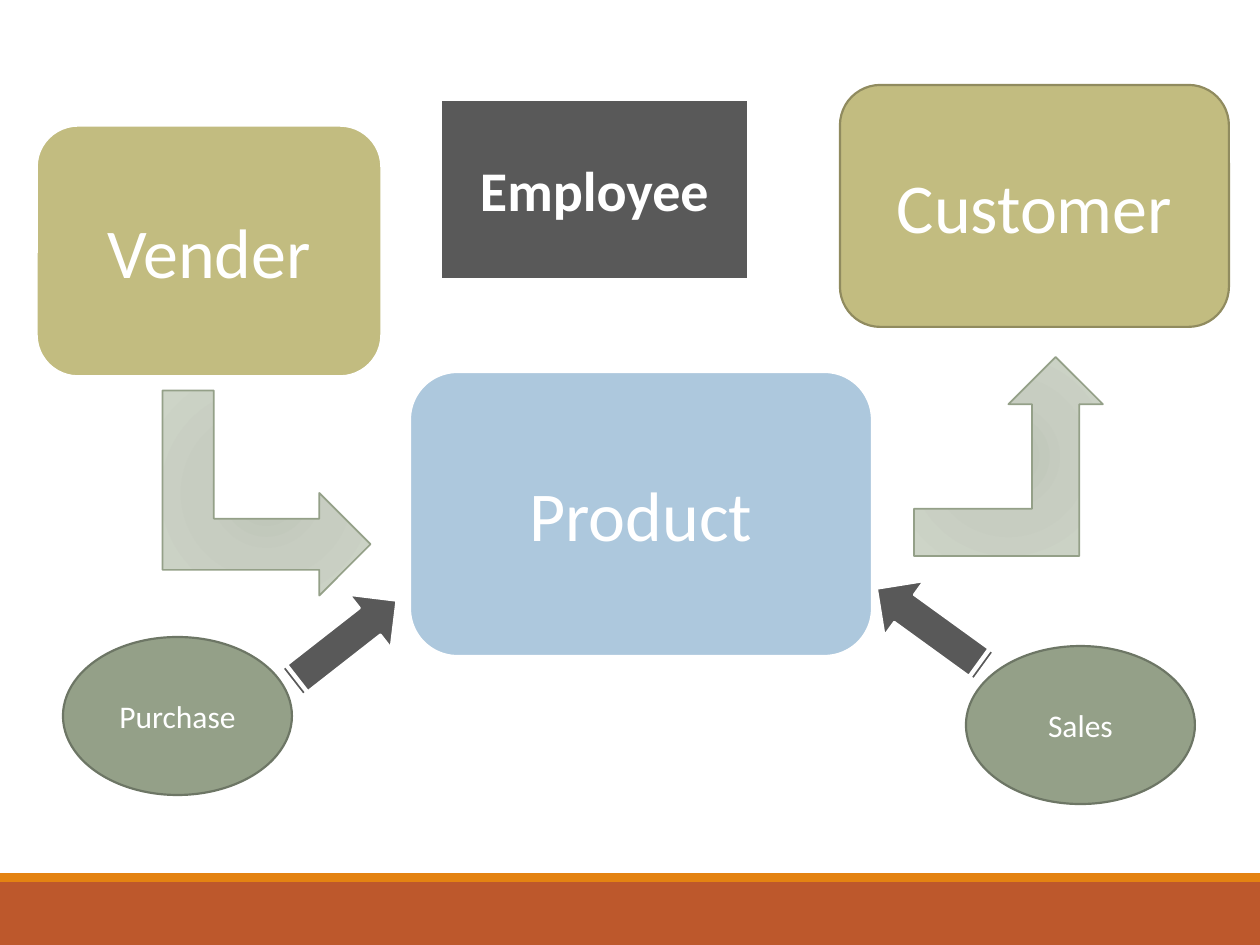
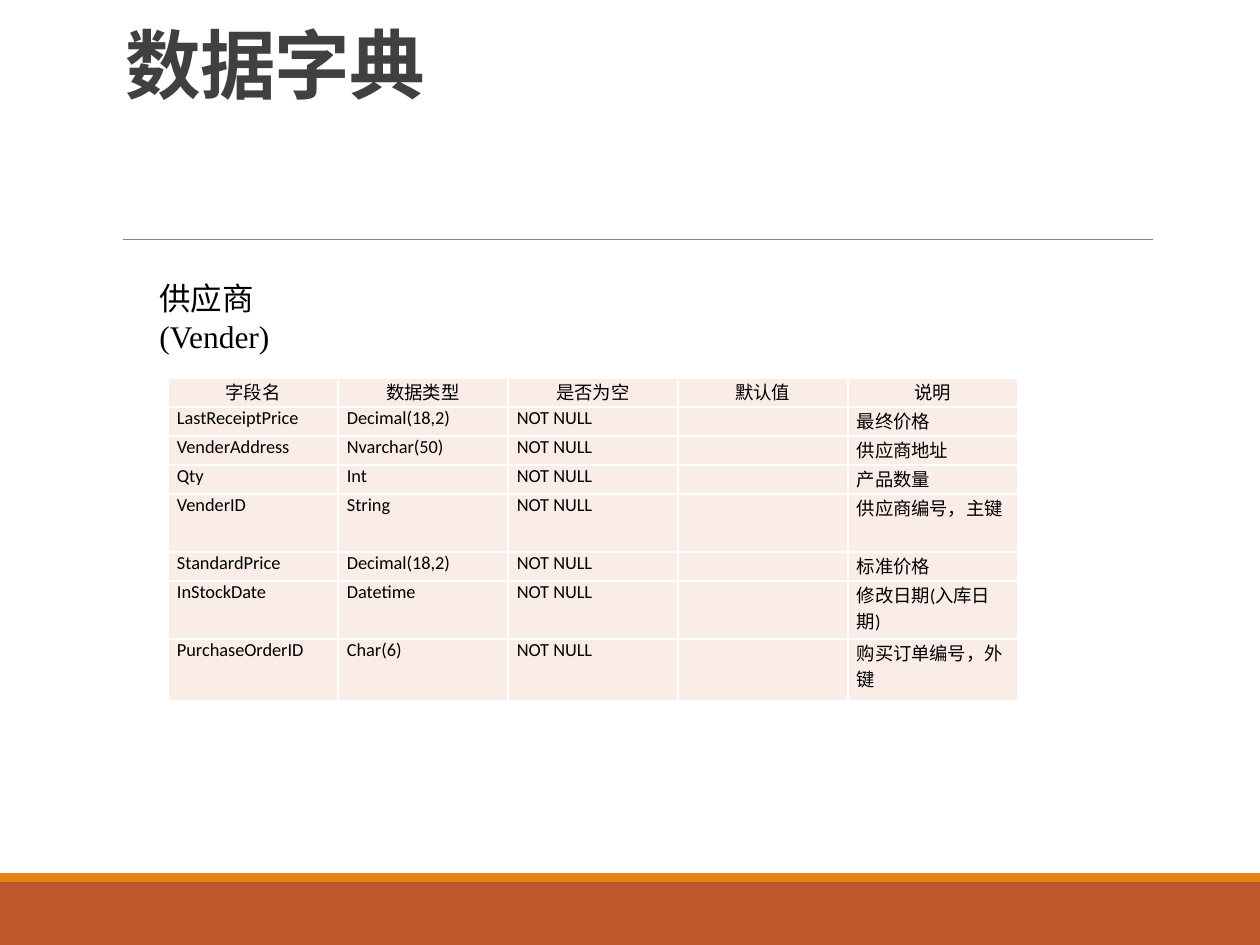
from dataclasses import dataclass

from lxml import etree
from pptx import Presentation
from pptx import util as u
from pptx.dml.color import RGBColor
from pptx.enum import shapes, text
from pptx.oxml.ns import qn

EMU_PER_PX = 914400 / 126
SLIDE_W, SLIDE_H = 1260, 945

WHITE, BLACK = "FFFFFF", "000000"
RUST, ORANGE = "BD582C", "E48312"
KHAKI, KHAKI_EDGE = "C2BC80", "908B5F"
SAGE, SAGE_EDGE = "94A088", "6D7665"
BLUE, CHARCOAL = "ADC8DD", "595959"
TITLE_GREY, RULE_GREY = "404040", "808080"
CELL_PINK = "FAEDE7"
SAGE_GLOW = ((0, "BBC3B5"), (45, "C7CDC1"), (100, "CDD4C7"))

LATIN, CJK, SERIF = "Calibri", "Noto Sans CJK SC", "Times New Roman"
GEO = shapes.MSO_SHAPE


@dataclass(frozen=True)
class Box:
    left: int
    top: int
    width: int
    height: int

    def emu(self) -> tuple:
        return px(self.left), px(self.top), px(self.width), px(self.height)


@dataclass(frozen=True)
class TextStyle:
    size: float
    colour: str = WHITE
    face: str = LATIN
    bold: bool = False
    align: text.PP_ALIGN = text.PP_ALIGN.CENTER


@dataclass(frozen=True)
class Node:
    geometry: shapes.MSO_SHAPE
    box: Box
    fill: str | tuple
    edge: str = WHITE
    edge_pt: float = 1.25
    rotation: float = 0
    label: str = ""
    style: TextStyle | None = None


ENTITY = TextStyle(40)
PROCESS = TextStyle(18)
STAFF = TextStyle(32, bold=True)
TITLE = TextStyle(43.2, TITLE_GREY, CJK, True, text.PP_ALIGN.LEFT)
TABLE_NAME = TextStyle(18, BLACK, SERIF, align=text.PP_ALIGN.LEFT)
HEADER = TextStyle(10.5, BLACK)
FIELD = TextStyle(10.5, BLACK, align=text.PP_ALIGN.LEFT)

FLOW = (
    Node(GEO.BENT_UP_ARROW, Box(164, 389, 205, 208), SAGE_GLOW, SAGE, 1, 90),
    Node(GEO.ROUNDED_RECTANGLE, Box(410, 372, 462, 284), BLUE, label="Product", style=ENTITY),
    Node(GEO.ROUNDED_RECTANGLE, Box(36, 125, 346, 252), KHAKI, edge_pt=2,
         label="Vender", style=ENTITY),
    Node(GEO.ROUNDED_RECTANGLE, Box(840, 85, 389, 242), KHAKI, KHAKI_EDGE,
         label="Customer", style=ENTITY),
    Node(GEO.BENT_UP_ARROW, Box(914, 357, 189, 199), SAGE_GLOW, SAGE, 1),
    Node(GEO.OVAL, Box(63, 637, 229, 158), SAGE, SAGE_EDGE, label="Purchase", style=PROCESS),
    Node(GEO.STRIPED_RIGHT_ARROW, Box(864, 595, 136, 67), CHARCOAL, rotation=215.9),
    Node(GEO.STRIPED_RIGHT_ARROW, Box(275, 609, 136, 67), CHARCOAL, rotation=322),
    Node(GEO.OVAL, Box(966, 646, 229, 158), SAGE, SAGE_EDGE, label="Sales", style=PROCESS),
    Node(GEO.RECTANGLE, Box(441, 100, 307, 179), CHARCOAL, label="Employee", style=STAFF),
)

COLUMNS = ("字段名", "数据类型", "是否为空", "默认值", "说明")
FIELDS = (
    ("LastReceiptPrice", "Decimal(18,2)", "最终价格"),
    ("VenderAddress", "Nvarchar(50)", "供应商地址"),
    ("Qty", "Int", "产品数量"),
    ("VenderID", "String", "供应商编号，主键"),
    ("StandardPrice", "Decimal(18,2)", "标准价格"),
    ("InStockDate", "Datetime", "修改日期(入库日期)"),
    ("PurchaseOrderID", "Char(6)", "购买订单编号，外键"),
)
COLUMN_W = 170
ROW_HEIGHTS = (29, 29, 29, 29, 58, 29, 58, 62)


def px(length: int) -> int:
    return round(length * EMU_PER_PX)


def rgb(colour: str) -> RGBColor:
    return RGBColor.from_string(colour)


def write(frame, content: str, style: TextStyle):
    paragraph = frame.paragraphs[0]
    paragraph.alignment = style.align
    font = paragraph.font
    font.name, font.size, font.bold = style.face, u.Pt(style.size), style.bold
    font.color.rgb = rgb(style.colour)
    defaults = paragraph._p.pPr.find(qn("a:defRPr"))
    etree.SubElement(defaults, qn("a:ea"), typeface=CJK)
    if content:
        paragraph.add_run().text = content
    else:
        etree.SubElement(paragraph._p, qn("a:endParaRPr"), sz=str(int(style.size * 100)))
    return paragraph


def glow(shape, stops: tuple) -> None:
    gradient = etree.Element(qn("a:gradFill"), rotWithShape="1")
    stop_list = etree.SubElement(gradient, qn("a:gsLst"))
    for percent, colour in stops:
        stop = etree.SubElement(stop_list, qn("a:gs"), pos=str(percent * 1000))
        etree.SubElement(stop, qn("a:srgbClr"), val=colour)
    circle = etree.SubElement(gradient, qn("a:path"), path="circle")
    etree.SubElement(circle, qn("a:fillToRect"), {side: "100000" for side in "ltrb"})
    shape._element.spPr.find(qn("a:prstGeom")).addnext(gradient)


def draw_node(slide, node: Node) -> None:
    shape = slide.shapes.add_shape(node.geometry, *node.box.emu())
    shape.shadow.inherit = False
    shape.rotation = node.rotation
    if isinstance(node.fill, tuple):
        glow(shape, node.fill)
    else:
        shape.fill.solid()
        shape.fill.fore_color.rgb = rgb(node.fill)
    if node.edge_pt:
        shape.line.color.rgb = rgb(node.edge)
        shape.line.width = u.Pt(node.edge_pt)
    else:
        shape.line.fill.background()
    if node.style:
        shape.text_frame.vertical_anchor = text.MSO_ANCHOR.MIDDLE
        write(shape.text_frame, node.label, node.style)


def draw_text(slide, box: Box, content: str, style: TextStyle):
    frame = slide.shapes.add_textbox(*box.emu()).text_frame
    frame.word_wrap = True
    return frame, write(frame, content, style)


def new_slide(deck):
    slide = deck.slides.add_slide(deck.slide_layouts[6])
    for top, height, colour in ((882, 63, RUST), (873, 9, ORANGE)):
        draw_node(slide, Node(GEO.RECTANGLE, Box(0, top, SLIDE_W, height), colour, edge_pt=0))
    return slide


def draw_title(slide, title: str) -> None:
    rule = slide.shapes.add_connector(
        shapes.MSO_CONNECTOR.STRAIGHT, px(123), px(239), px(1153), px(239))
    rule.line.color.rgb = rgb(RULE_GREY)
    rule.line.width = u.Pt(0.5)
    etree.SubElement(rule._element.spPr, qn("a:effectLst"))
    frame, paragraph = draw_text(slide, Box(113, 39, 1040, 76), title, TITLE)
    frame.vertical_anchor = text.MSO_ANCHOR.BOTTOM
    paragraph.line_spacing = 0.85
    paragraph._p.pPr.find(qn("a:defRPr")).set("spc", "-50")


def style_cell(cell) -> None:
    cell.margin_left = cell.margin_right = px(9)
    cell.margin_top = cell.margin_bottom = 0
    properties = cell._tc.get_or_add_tcPr()
    for side in ("lnL", "lnR", "lnT", "lnB"):
        border = etree.SubElement(properties, qn(f"a:{side}"), w=str(u.Pt(1)))
        paint = etree.SubElement(border, qn("a:solidFill"))
        etree.SubElement(paint, qn("a:srgbClr"), val=WHITE)
    cell.fill.solid()
    cell.fill.fore_color.rgb = rgb(CELL_PINK)


def draw_dictionary(slide) -> None:
    rows = [COLUMNS] + [(name, kind, "NOT NULL", "", note) for name, kind, note in FIELDS]
    box = Box(168, 378, COLUMN_W * len(COLUMNS), sum(ROW_HEIGHTS))
    table = slide.shapes.add_table(len(rows), len(COLUMNS), *box.emu()).table
    for column in table.columns:
        column.width = px(COLUMN_W)
    for r, (values, height) in enumerate(zip(rows, ROW_HEIGHTS)):
        table.rows[r].height = px(height)
        for c, value in enumerate(values):
            cell = table.cell(r, c)
            style_cell(cell)
            write(cell.text_frame, value, FIELD if r else HEADER)


def main() -> None:
    deck = Presentation()
    deck.slide_width, deck.slide_height = px(SLIDE_W), px(SLIDE_H)

    flow_slide = new_slide(deck)
    for node in FLOW:
        draw_node(flow_slide, node)

    dictionary_slide = new_slide(deck)
    draw_title(dictionary_slide, "数据字典")
    draw_dictionary(dictionary_slide)
    frame, _ = draw_text(dictionary_slide, Box(147, 273, 232, 50), "供应商(Vender)", TABLE_NAME)
    frame.margin_right = px(40)

    deck.save("out.pptx")


if __name__ == "__main__":
    main()
